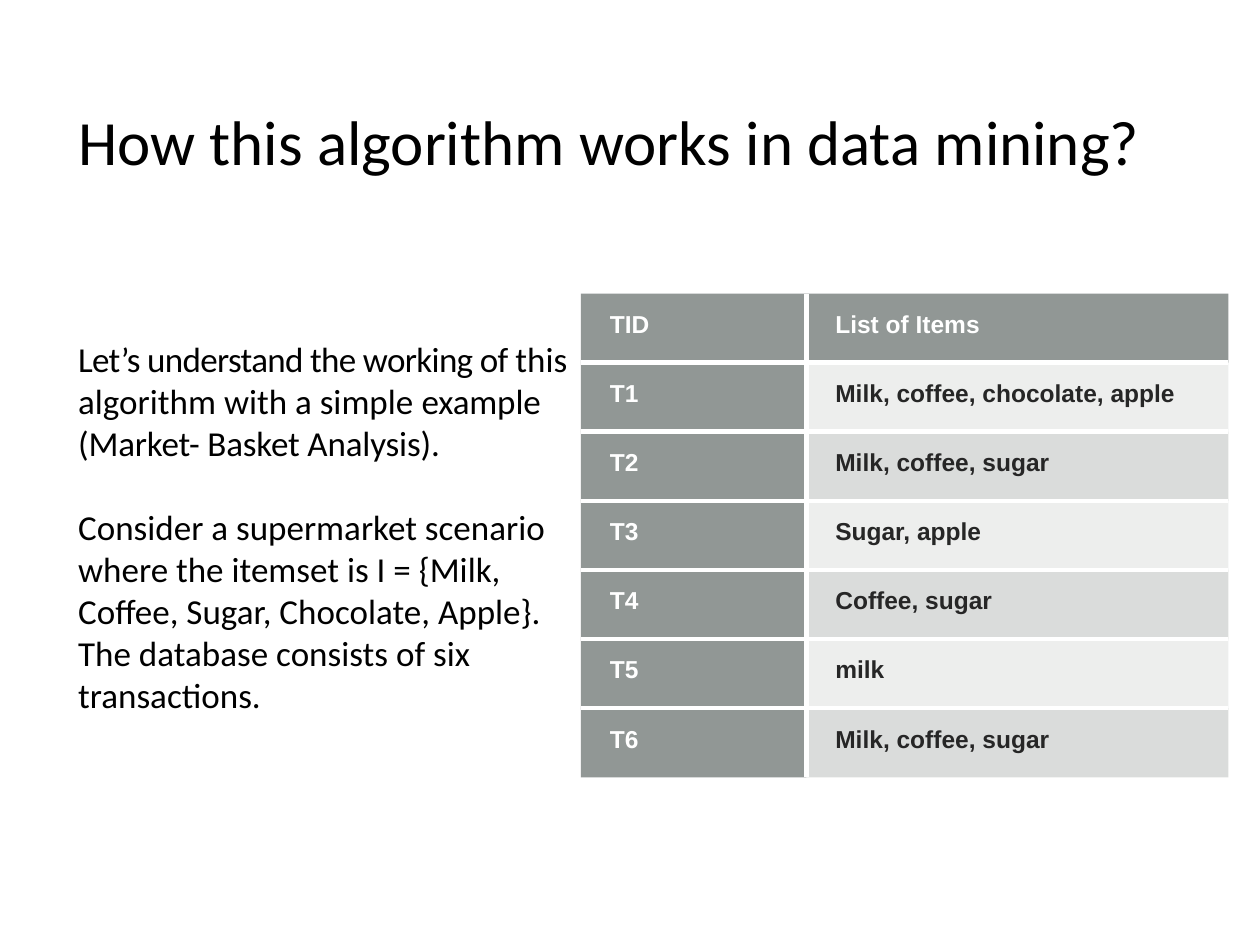
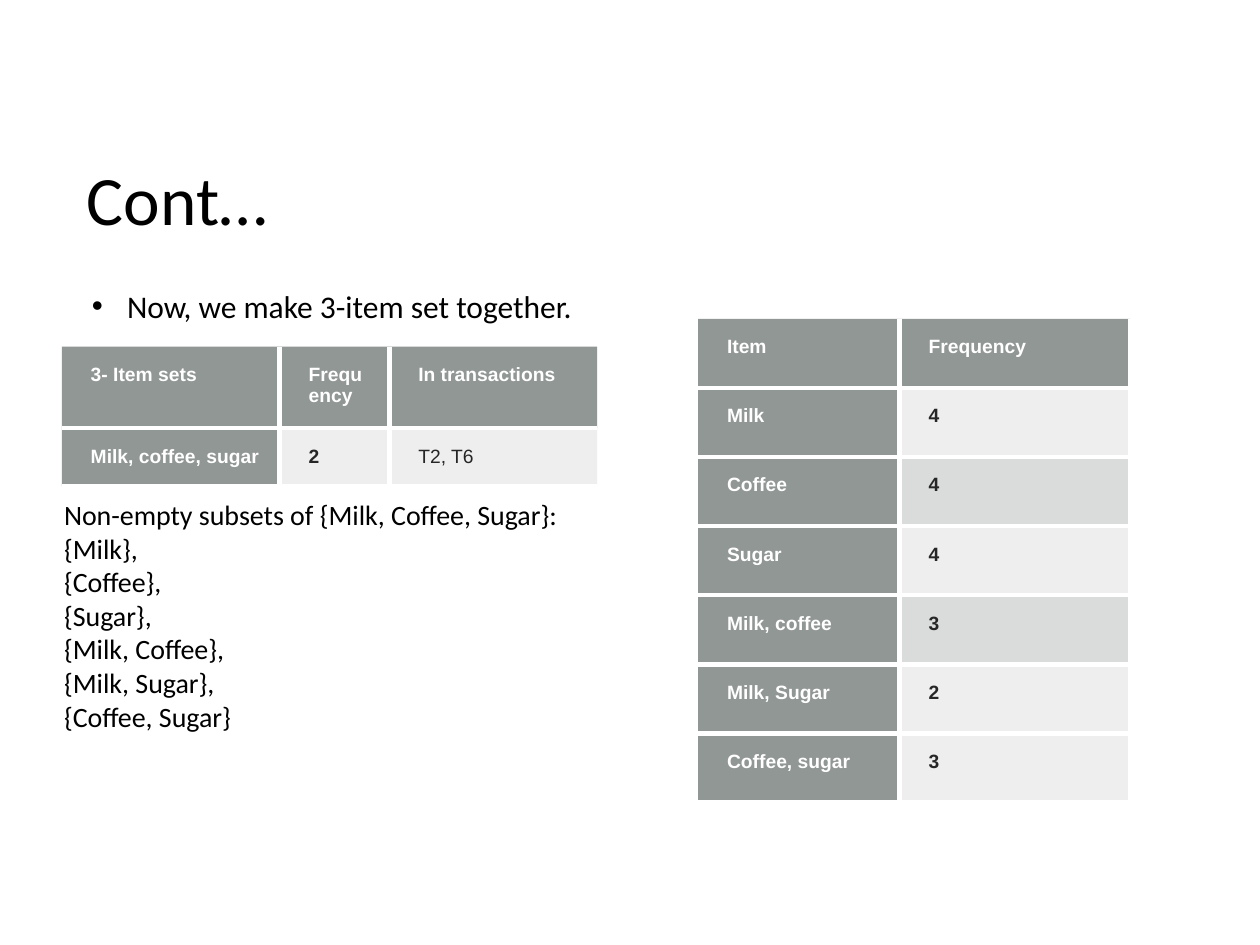
from dataclasses import dataclass

from lxml import etree
from pptx import Presentation
from pptx.dml.color import RGBColor
from pptx.enum.text import MSO_ANCHOR, MSO_AUTO_SIZE, PP_ALIGN
from pptx.oxml.ns import qn
from pptx.util import Inches, Pt

TOP, MIDDLE = MSO_ANCHOR.TOP, MSO_ANCHOR.MIDDLE
LEFT, JUSTIFY = PP_ALIGN.LEFT, PP_ALIGN.JUSTIFY
FIXED, GROW = MSO_AUTO_SIZE.NONE, MSO_AUTO_SIZE.SHAPE_TO_FIT_TEXT
TITLE_ONLY = 5


@dataclass(frozen=True)
class Theme:
    text_font: str = "Calibri"
    table_font: str = "Arial"
    ink: str = "000000"
    white: str = "FFFFFF"
    cell_ink: str = "262626"
    header_fill: str = "636B68"
    body_fill: str = "878E8B"
    header_opacity: int = 70
    light: int = 15
    dark: int = 30
    border_width: float = 3
    title_size: float = 36
    large_title_size: float = 39.6
    body_size: float = 20
    bullet_size: float = 18
    list_size: float = 16
    table_size: float = 14
    small_table_size: float = 11


class Deck:
    """Places styled elements on the current slide, on a grid of 100 columns by 75 rows."""

    columns, rows = 100, 75

    def __init__(self, theme):
        self.theme = theme
        self.presentation = Presentation()
        self.presentation.slide_width = Inches(10)
        self.presentation.slide_height = Inches(7.5)
        self.slide = None

    def across(self, columns):
        return round(self.presentation.slide_width * columns / self.columns)

    def down(self, rows):
        return round(self.presentation.slide_height * rows / self.rows)

    def box(self, left, top, width, height):
        return self.across(left), self.down(top), self.across(width), self.down(height)

    def style(self, paragraph, size, color=None, font=None, bold=False):
        paragraph.font.name = font or self.theme.text_font
        paragraph.font.size = Pt(size)
        paragraph.font.bold = bold
        paragraph.font.color.rgb = RGBColor.from_string(color or self.theme.ink)

    def set_margins(self, target, left, others):
        target.margin_left = Inches(left)
        target.margin_top = target.margin_right = target.margin_bottom = Inches(others)

    def add_slide(self, title, place, size):
        layout = self.presentation.slide_layouts[TITLE_ONLY]
        self.slide = self.presentation.slides.add_slide(layout)
        shape = self.slide.shapes.title
        shape.left, shape.top, shape.width, shape.height = self.box(*place)
        frame = shape.text_frame
        frame.text = title
        frame.auto_size = FIXED
        frame.vertical_anchor = TOP
        self.set_margins(frame, 0, 0)
        frame.paragraphs[0].alignment = LEFT
        self.style(frame.paragraphs[0], size)

    def add_text(self, paragraphs, place, size, gap=0):
        """Add a text box; each paragraph is a list of (text, letter spacing) runs."""
        frame = self.slide.shapes.add_textbox(*self.box(*place)).text_frame
        frame.word_wrap = True
        frame.auto_size = GROW
        for index, runs in enumerate(paragraphs):
            paragraph = frame.add_paragraph() if index else frame.paragraphs[0]
            self.style(paragraph, size)
            paragraph.space_before = Pt(gap if index else 0)
            for text, spacing in runs:
                run = paragraph.add_run()
                run.text = text
                if spacing:
                    run.font._element.set("spc", str(round(spacing * 100)))
        return frame

    def add_bullet(self, text, place, size):
        paragraph = self.add_text([[(text, 0)]], place, size).paragraphs[0]
        paragraph.alignment = JUSTIFY
        paragraph.space_before = Pt(0.8)
        properties = paragraph._p.get_or_add_pPr()
        properties.set("marL", str(Inches(0.29)))
        properties.set("indent", str(Inches(-0.28)))
        etree.SubElement(properties, qn("a:buFont"), typeface="Arial")
        etree.SubElement(properties, qn("a:buChar"), char="•")

    def paint_cell(self, cell, color, opacity, borders):
        cell.fill.solid()
        cell.fill.fore_color.rgb = RGBColor.from_string(color)
        properties = cell._tc.get_or_add_tcPr()
        solid_color = properties.find(".//" + qn("a:srgbClr"))
        etree.SubElement(solid_color, qn("a:alpha"), val=str(opacity * 1000))
        for index, (side, visible) in enumerate(borders.items()):
            line = etree.Element(qn(f"a:ln{side}"), w=str(Pt(self.theme.border_width)))
            if visible:
                fill = etree.SubElement(line, qn("a:solidFill"))
                etree.SubElement(fill, qn("a:srgbClr"), val=self.theme.white)
            else:
                etree.SubElement(line, qn("a:noFill"))
            properties.insert(index, line)

    def add_table(self, records, place, widths, heights, size, tints, edges="", plain_columns=()):
        """Add a table with a dark first row and column; edges names its ruled outer sides."""
        theme = self.theme
        last_row, last_column = len(records) - 1, len(widths) - 1
        frame = self.slide.shapes.add_table(
            len(records), len(widths), *self.box(*place, sum(widths), sum(heights)))
        table = frame.table
        table.first_row = table.horz_banding = False
        for column, width in zip(table.columns, widths):
            column.width = self.across(width)
        for row, height in zip(table.rows, heights):
            row.height = self.down(height)
        for row, record in enumerate(records):
            for column, text in enumerate(record):
                cell = table.cell(row, column)
                cell.text = text
                self.set_margins(cell, 0.23, 0.14)
                header = row == 0 or column == 0
                self.style(cell.text_frame.paragraphs[0], size,
                           theme.white if header else theme.cell_ink, theme.table_font,
                           header or column not in plain_columns)
                borders = {"L": column > 0, "R": column < last_column or "R" in edges,
                           "T": row > 0, "B": row < last_row or "B" in edges}
                if header:
                    self.paint_cell(cell, theme.header_fill, theme.header_opacity, borders)
                else:
                    self.paint_cell(cell, theme.body_fill, tints[row - 1], borders)


def build_algorithm_slide(deck):
    theme = deck.theme
    deck.add_slide("How this algorithm works in data mining?", (6.2, 8.1, 88.3, 10.1),
                   theme.title_size)
    explanation = [
        [("Let’s understand the working of ", -0.4), ("this algorithm with a simple ", 0),
         ("example (Market- Basket Analysis).", -0.1)],
        [("Consider a supermarket scenario where the itemset is I = {Milk, Coffee, Sugar, "
          "Chocolate, Apple}. The database consists of six transactions.", 0)],
    ]
    frame = deck.add_text(explanation, (6.2, 26.8, 39.9, 30), theme.body_size, gap=24)
    frame.vertical_anchor = MIDDLE
    deck.set_margins(frame, 0, 0)
    baskets = ["Milk, coffee, chocolate, apple", "Milk, coffee, sugar", "Sugar, apple",
               "Coffee, sugar", "milk", "Milk, coffee, sugar"]
    transactions = [(f"T{number}", items) for number, items in enumerate(baskets, 1)]
    deck.add_table([("TID", "List of Items"), *transactions], (46.1, 23.3), (17.9, 33.5),
                   [38.4 / 7] * 7, theme.table_size, (theme.light, theme.dark) * 3)


def build_item_sets_slide(deck):
    theme = deck.theme
    deck.add_slide("Cont…", (6.9, 12.4, 86.2, 5), theme.large_title_size)
    deck.add_bullet("Now, we make 3-item set together.", (6.2, 22.3, 50, 4), theme.bullet_size)
    item_sets = [("3- Item sets", "Frequency", "In transactions"),
                 ("Milk, coffee, sugar", "2", "T2, T6")]
    deck.add_table(item_sets, (4.9, 27.5), (17.3, 8.7, 16.5), (6.4, 4.5),
                   theme.small_table_size, (theme.light,), edges="B", plain_columns=(2,))
    subsets = ["Non-empty subsets of {Milk, Coffee, Sugar}:", "{Milk},", "{Coffee},", "{Sugar},",
               "{Milk, Coffee},", "{Milk, Sugar},", "{Coffee, Sugar}"]
    deck.add_text([[(line, 0)] for line in subsets], (4.1, 39, 45.9, 19.9), theme.list_size)
    frequencies = [("Item", "Frequency"), ("Milk", "4"), ("Coffee", "4"), ("Sugar", "4"),
                   ("Milk, coffee", "3"), ("Milk, Sugar", "2"), ("Coffee, sugar", "3")]
    tints = (theme.light, theme.dark) * 2 + (theme.light,) * 2
    deck.add_table(frequencies, (55.4, 25.3), (16, 18.3), [38.4 / 7] * 7,
                   theme.small_table_size, tints, edges="RB")


def main():
    deck = Deck(Theme())
    build_algorithm_slide(deck)
    build_item_sets_slide(deck)
    deck.presentation.save("out.pptx")


if __name__ == "__main__":
    main()
